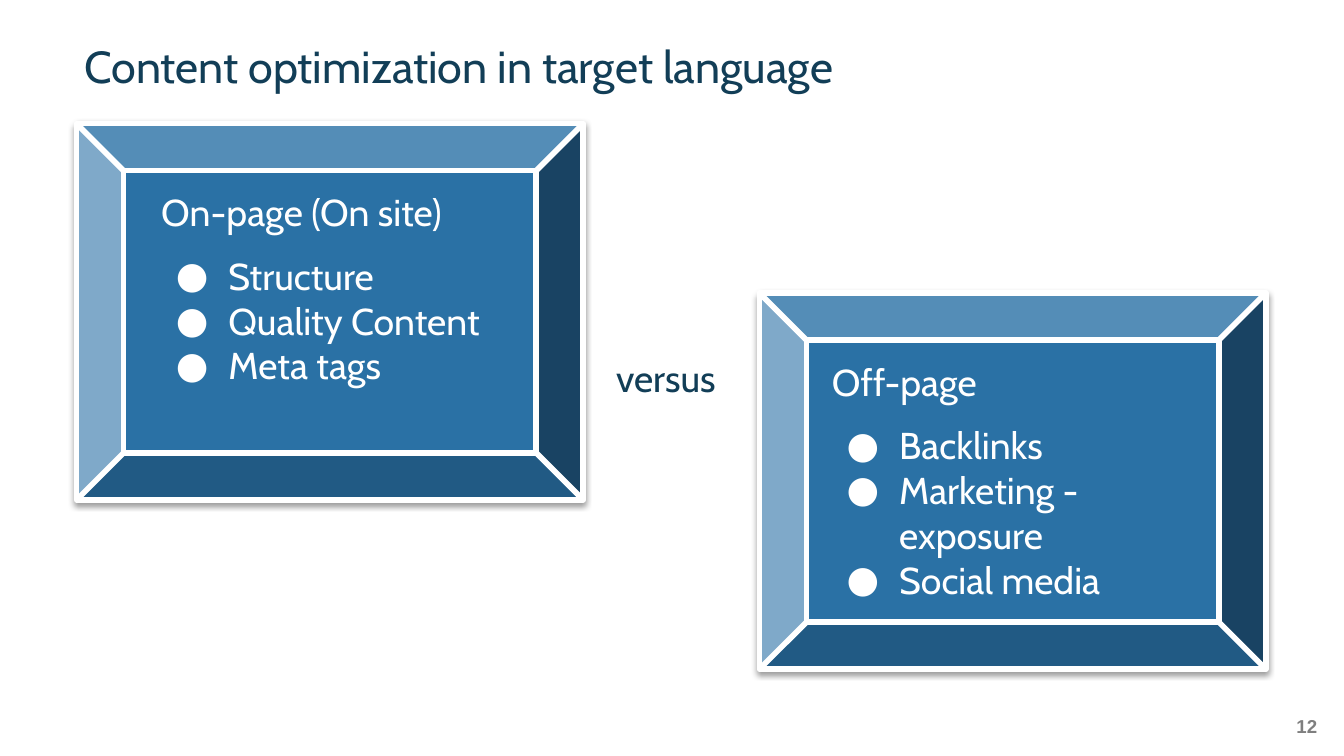
from dataclasses import dataclass

from lxml import etree
from pptx import Presentation
from pptx.dml import color
from pptx.enum import shapes, text
from pptx import util as u
from pptx.oxml import ns


@dataclass(frozen=True)
class Theme:
    font: str = "Cabin"
    plain: str = "Arial"
    navy: str = "123E57"
    blue: str = "2A71A5"
    white: str = "FFFFFF"
    gray: str = "7F7F7F"
    black: str = "000000"
    title: int = 24
    body: int = 20
    small: int = 10


def rgb(code):
    return color.RGBColor.from_string(code)


def node(root, tag, **attrs):
    return etree.SubElement(root, ns.qn(tag), attrs)


class Deck:
    """Draws styled elements on the current slide."""

    def __init__(self, wide, high):
        self.theme = Theme()
        self.prs = Presentation()
        self.prs.slide_width = u.Inches(wide)
        self.prs.slide_height = u.Inches(high)
        self.slide = self.prs.slides.add_slide(self.prs.slide_layouts[6])

    def style(self, par, size, tint, font=None, bold=False):
        for run in par.runs:
            run.font.name = font or self.theme.font
            run.font.size = u.Pt(size)
            run.font.bold = bold
            run.font.color.rgb = rgb(tint)

    def box(self, place, words, inset=(0, 0)):
        frame = self.slide.shapes.add_textbox(*map(u.Inches, place)).text_frame
        frame.word_wrap = True
        frame.margin_left = frame.margin_right = u.Inches(inset[0])
        frame.margin_top = frame.margin_bottom = u.Inches(inset[1])
        frame.text = words
        return frame

    def label(self, place, words, size, tint, align="LEFT", font=None,
              bold=False, inset=(0, 0), space=1.0):
        frame = self.box(place, words, inset)
        par = frame.paragraphs[0]
        par.alignment = text.PP_ALIGN[align]
        par.line_spacing = space
        self.style(par, size, tint, font, bold)
        return frame

    def title(self, place, words):
        frame = self.label(place, words, self.theme.title, self.theme.navy, space=0.9)
        frame.vertical_anchor = text.MSO_ANCHOR.BOTTOM

    def bevel(self, place):
        item = self.slide.shapes.add_shape(
            shapes.MSO_SHAPE.BEVEL, *map(u.Inches, place))
        item.adjustments[0] = 0.125
        item.fill.solid()
        item.fill.fore_color.rgb = rgb(self.theme.blue)
        item.line.color.rgb = rgb(self.theme.white)
        item.line.width = u.Pt(3)
        item.shadow.inherit = False
        glow = item.element.spPr.find(ns.qn("a:effectLst"))
        shade = node(glow, "a:outerShdw", blurRad=str(u.Pt(3.1)),
                     dist=str(u.Pt(1.6)), dir="5400000", algn="t", rotWithShape="0")
        node(node(shade, "a:srgbClr", val=self.theme.black), "a:alpha", val="38000")

    def bullet(self, par):
        props = par._p.get_or_add_pPr()
        props.set("marL", str(u.Inches(0.5)))
        props.set("indent", str(u.Inches(-0.39)))
        node(node(props, "a:buClr"), "a:srgbClr", val=self.theme.white)
        node(props, "a:buFont", typeface=self.theme.font)
        node(props, "a:buChar", char="●")

    def points(self, place, head, items):
        frame = self.box(place, "\n".join([head, *items]))
        for par in frame.paragraphs[1:]:
            self.bullet(par)
        frame.paragraphs[1].space_before = u.Pt(10)
        for par in frame.paragraphs:
            self.style(par, self.theme.body, self.theme.white)

    def panel(self, spot, place, head, items):
        self.bevel((*spot, 3.77, 2.8))
        self.points(place, head, items)


def main():
    deck = Deck(10, 10 * 9 / 16)
    look = deck.theme
    deck.label((9.46, 5.32, 0.34, 0.2), "12", look.small, look.gray,
               "RIGHT", look.plain, True)
    deck.title((0.63, 0.34, 8.93, 0.35), "Content optimization in target language")
    deck.panel((0.57, 0.92), (1.2, 1.41, 2.47, 1.8), "On-page (On site)",
               ["Structure", "Quality Content", "Meta tags"])
    deck.label((4.32, 2.59, 1.27, 0.44), "versus", look.body, look.navy,
               "CENTER", inset=(0.1, 0.05))
    deck.panel((5.65, 2.18), (6.19, 2.67, 2.68, 1.94), "Off-page",
               ["Backlinks", "Marketing - exposure", "Social media"])
    deck.prs.save("out.pptx")


if __name__ == "__main__":
    main()
